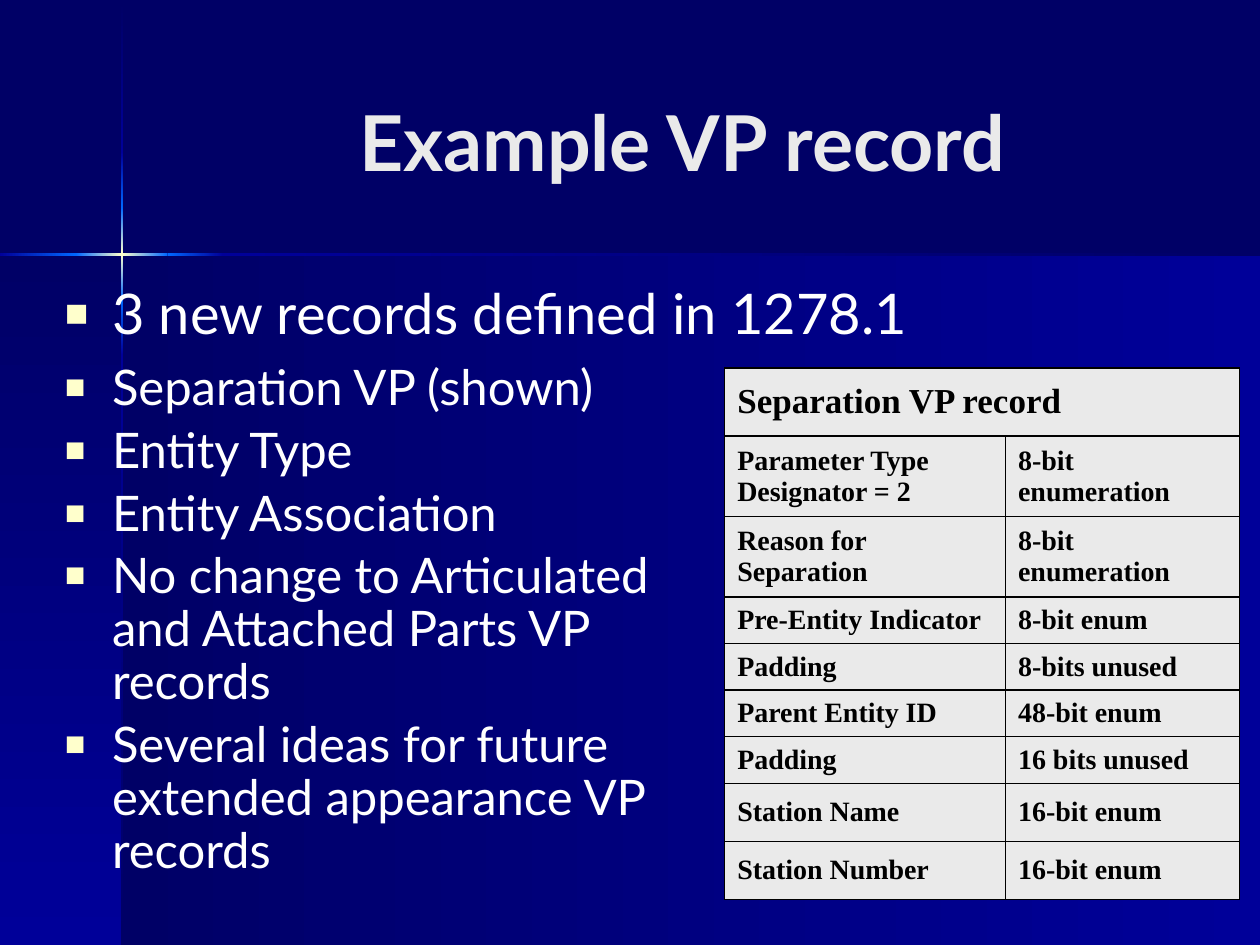
import itertools

import pptx
import pptx.dml.color
import pptx.enum.shapes
import pptx.enum.text
import pptx.oxml
import pptx.oxml.ns
import pptx.util

Cm, Pt = pptx.util.Cm, pptx.util.Pt
qn = pptx.oxml.ns.qn
NS = pptx.oxml.ns.nsdecls("a")

COLORS = {
    "night": "000066", "royal": "000099", "beam": "0066FF", "glow": "FFFFCC",
    "pale": "EAEAEA", "white": "FFFFFF", "black": "000000",
}
TITLE = {"size": Pt(44), "name": "Lato", "bold": True}
LEAD = {"size": Pt(32), "name": "Lato"}
POINT = {"size": Pt(28), "name": "Lato"}
TABLE_HEAD = {"size": Pt(20), "name": "Times New Roman", "bold": True}
TABLE_BODY = {**TABLE_HEAD, "size": Pt(16)}

POINTS = [
    "Separation VP (shown)",
    "Entity Type",
    "Entity Association",
    "No change to Articulated and Attached Parts VP records",
    "Several ideas for future extended appearance VP records",
]
RECORD_TITLE = "Separation VP record"
FIELDS = [  # name, type, row height in cm
    ("Parameter Type Designator = 2", "8-bit enumeration", 1.62),
    ("Reason for Separation", "8-bit enumeration", 1.62),
    ("Pre-Entity Indicator", "8-bit enum", 0.94),
    ("Padding", "8-bits unused", 0.94),
    ("Parent Entity ID", "48-bit enum", 0.94),
    ("Padding", "16 bits unused", 0.94),
    ("Station Name", "16-bit enum", 1.17),
    ("Station Number", "16-bit enum", 1.17),
]


def rgb(name):
    return pptx.dml.color.RGBColor.from_string(COLORS[name])


def add_run(p, text, style, color):
    r = p.add_run()
    r.text = text
    for key, value in style.items():
        setattr(r.font, key, value)
    r.font.color.rgb = rgb(color)


def add_gradient_box(slide, box, colors, vertical):
    """Rectangle shaded evenly through the colours, rightwards or downwards."""
    sp = slide.shapes.add_shape(
        pptx.enum.shapes.MSO_SHAPE.RECTANGLE, *(Cm(v) for v in box))
    sp.shadow.inherit = False
    sp.line.fill.background()
    sp.fill.gradient()
    sp.fill.gradient_angle = 270 if vertical else 0
    stops = sp._element.spPr.find(".//" + qn("a:gsLst"))
    for stop in list(stops):
        stops.remove(stop)
    for i, color in enumerate(colors):
        pos = 100000 * i // (len(colors) - 1)
        stops.append(pptx.oxml.parse_xml(
            f'<a:gs {NS} pos="{pos}"><a:srgbClr val="{COLORS[color]}"/></a:gs>'))


def add_backdrop(slide, width, height):
    """Two shaded panels under a cross of light."""
    slide.background.fill.solid()
    slide.background.fill.fore_color.rgb = rgb("night")
    x, y, thick = 2.46, 5.13, 0.05
    shade = ["night", "royal"]
    add_gradient_box(slide, (x, y, width - x, height - y), shade, False)
    add_gradient_box(slide, (0, y, x, height - y), shade, True)

    ray = [["royal", "beam"], ["beam", "glow", "beam"],
           ["beam", "royal"], ["royal", "night"]]
    across = itertools.pairwise([0, 1.53, 3.38, 4.5, width])
    down = itertools.pairwise([0.03, 3.07, 4.19, 6.05, 7.16, height])
    for (start, end), colors in zip(down, [shade] + ray):
        box = (x - thick / 2, start, thick, end - start)
        add_gradient_box(slide, box, colors, True)
    for (start, end), colors in zip(across, ray):
        box = (start, y - thick / 2, end - start, thick)
        add_gradient_box(slide, box, colors, False)


def add_text_frame(slide, box):
    tf = slide.shapes.add_textbox(*(Cm(v) for v in box)).text_frame
    tf.word_wrap = True
    return tf


def add_title(slide, box, text):
    tf = add_text_frame(slide, box)
    tf.vertical_anchor = pptx.enum.text.MSO_ANCHOR.MIDDLE
    add_run(tf.paragraphs[0], text, TITLE, "pale")


def add_bullets(slide, box, items, style, line_spacing):
    tf = add_text_frame(slide, box)
    for i, item in enumerate(items):
        p = tf.add_paragraph() if i else tf.paragraphs[0]
        p.line_spacing = line_spacing
        p.space_before = Pt(style["size"].pt * 0.2)
        pPr = p._p.get_or_add_pPr()
        pPr.set("marL", str(Cm(0.95)))
        pPr.set("indent", str(-Cm(0.95)))
        for tag in (f'buClr {NS}><a:srgbClr val="{COLORS["glow"]}"/></a:buClr',
                    f'buSzPct {NS} val="70000"/',
                    f'buFont {NS} typeface="Arial"/',
                    f'buChar {NS} char="■"/'):
            pPr.append(pptx.oxml.parse_xml(f"<a:{tag}>"))
        add_run(p, item, style, "white")


def fill_cell(cell, text, style):
    cell.fill.solid()
    cell.fill.fore_color.rgb = rgb("pale")
    cell.vertical_anchor = pptx.enum.text.MSO_ANCHOR.MIDDLE
    tcPr = cell._tc.get_or_add_tcPr()
    for i, side in enumerate("LRTB"):
        tcPr.insert(i, pptx.oxml.parse_xml(
            f'<a:ln{side} {NS} w="{Pt(1)}"><a:solidFill>'
            f'<a:srgbClr val="{COLORS["black"]}"/></a:solidFill></a:ln{side}>'))
    if text:
        add_run(cell.text_frame.paragraphs[0], text, style, "black")


def add_record_table(slide, left, top, col_widths, head_height):
    rows = [(RECORD_TITLE, "", head_height)] + FIELDS
    table = slide.shapes.add_table(
        len(rows), 2, Cm(left), Cm(top), Cm(sum(col_widths)),
        Cm(sum(row[2] for row in rows))).table
    for col, width in zip(table.columns, col_widths):
        col.width = Cm(width)
    for i, (name, kind, height) in enumerate(rows):
        table.rows[i].height = Cm(height)
        for j, text in enumerate((name, kind)):
            fill_cell(table.cell(i, j), text, TABLE_BODY if i else TABLE_HEAD)
    table.cell(0, 0).merge(table.cell(0, 1))


def main():
    width, height = 25.4, 19.05
    prs = pptx.Presentation()
    prs.slide_width, prs.slide_height = Cm(width), Cm(height)
    slide = prs.slides.add_slide(prs.slide_layouts[6])
    add_backdrop(slide, width, height)
    add_title(slide, (6.99, 0.84, 17.58, 3.99), "Example VP record")
    add_bullets(slide, (1.06, 5.5, 23.7, 1.9),
                ["3 new records defined in 1278.1"], LEAD, 1.0)
    add_record_table(slide, 14.61, 7.42, (5.66, 4.72), 1.37)
    add_bullets(slide, (1.06, 7.2, 13.13, 10.6), POINTS, POINT, 0.9)
    prs.save("out.pptx")


if __name__ == "__main__":
    main()
